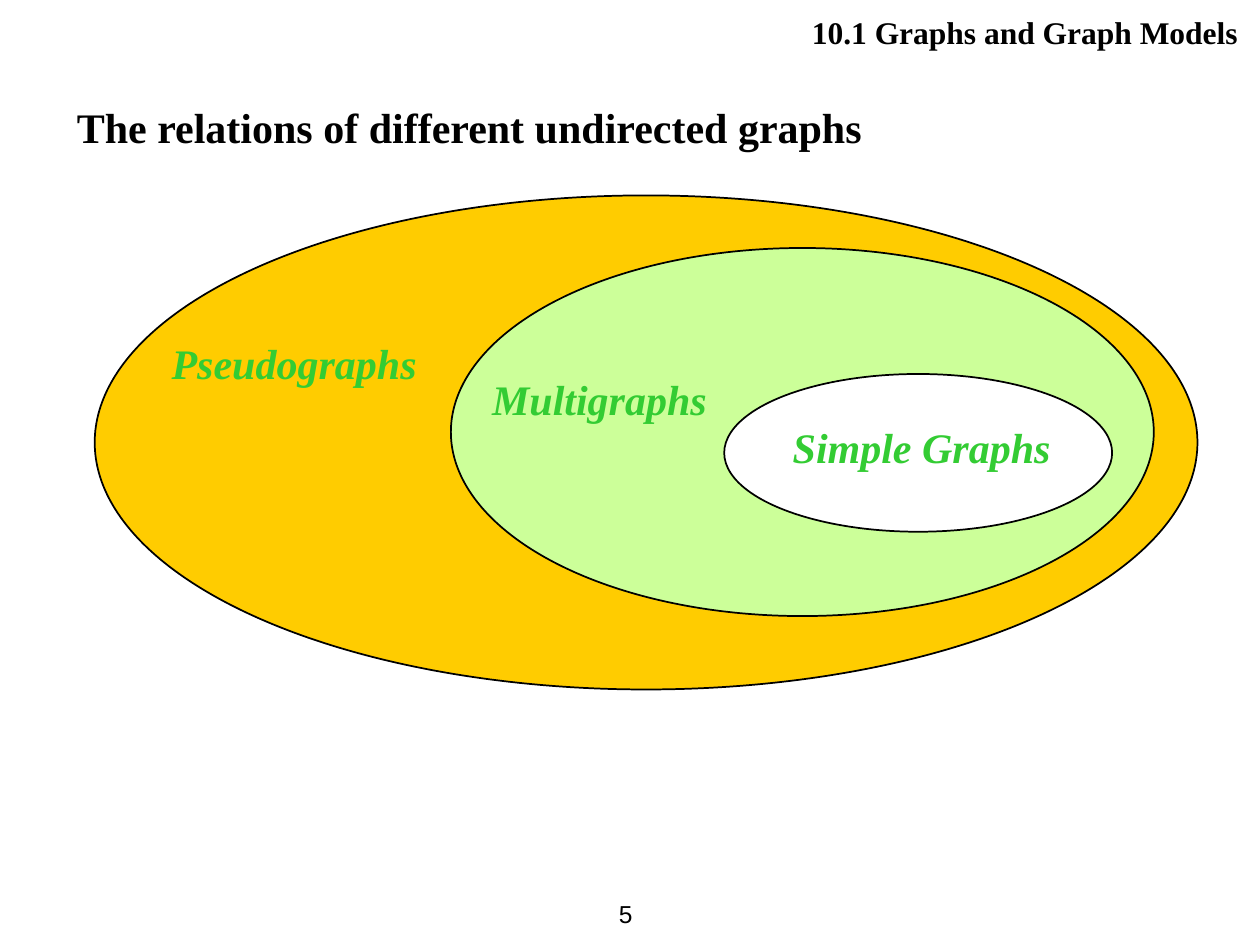
from pptx import Presentation
from pptx.dml.color import RGBColor
from pptx.enum.shapes import MSO_SHAPE
from pptx.enum.text import MSO_ANCHOR, PP_ALIGN
from pptx.util import Cm, Pt

OVAL = MSO_SHAPE.OVAL
TOP, MIDDLE = MSO_ANCHOR.TOP, MSO_ANCHOR.MIDDLE
LEFT, CENTER, RIGHT = PP_ALIGN.LEFT, PP_ALIGN.CENTER, PP_ALIGN.RIGHT
SERIF, SANS, CJK = "Times New Roman", "Arial", "Noto Sans CJK SC"
BLACK, GREEN = "000000", "33CC33"
LINE_HEIGHT = 1.27

GRAPH_SETS = [
    ("Pseudographs", "FFCC00", (1.91, 3.94, 22.23, 9.96), (1.3, 2.74, 5.44)),
    ("Multigraphs", "CCFF99", (9.09, 5, 14.17, 7.42), (0.58, 2.41, 4.83)),
    ("Simple Graphs", "FFFFFF", (14.6, 7.54, 7.82, 3.18), (1.12, 0.84, 5.72)),
]


def color(value):
    """Turn a hex string into a colour."""
    return RGBColor.from_string(value)


def add_span(para, text, size, font=SERIF, ink=BLACK, bold=True, italic=False):
    """Add one formatted run to a paragraph."""
    span = para.add_run()
    span.text = text
    span.font.size = Pt(size)
    span.font.name = font
    span.font.bold = bold
    span.font.italic = italic
    span.font.color.rgb = color(ink)


def add_line(page, left, top, width, align=LEFT, anchor=TOP, wrap=True):
    """Add a one-line text box and return its paragraph."""
    box = page.shapes.add_textbox(Cm(left), Cm(top), Cm(width), Cm(LINE_HEIGHT))
    box.text_frame.word_wrap = wrap
    box.text_frame.vertical_anchor = anchor
    para = box.text_frame.paragraphs[0]
    para.alignment = align
    return para


def add_header(page, left, top, width):
    """Place the section name in the top right corner."""
    para = add_line(page, left, top, width, RIGHT)
    add_span(para, "10.1 Graphs and Graph Models", 18)
    add_span(para, " ", 24, CJK)


def add_title(page, left, top, width):
    """Place the slide heading."""
    para = add_line(page, left, top, width)
    add_span(para, "The relations of different undirected graphs", 24)


def add_graph_set(page, name, fill, bounds, label):
    """Draw one set as an ellipse with its label placed inside it."""
    left, top, width, height = bounds
    label_left, label_top, label_width = label
    oval = page.shapes.add_shape(OVAL, Cm(left), Cm(top), Cm(width), Cm(height))
    oval.shadow.inherit = False
    oval.fill.solid()
    oval.fill.fore_color.rgb = color(fill)
    oval.line.color.rgb = color(BLACK)
    oval.line.width = Pt(1)
    para = add_line(page, left + label_left, top + label_top, label_width,
                    CENTER, MIDDLE, wrap=False)
    add_span(para, name, 24, ink=GREEN, italic=True)


def add_page_number(page, left, top, width):
    """Place the page number at the foot of the slide."""
    para = add_line(page, left, top, width, RIGHT, MIDDLE)
    add_span(para, "5", 14, SANS, bold=False)


def main():
    """Build the slide and save the deck."""
    deck = Presentation()
    deck.slide_width, deck.slide_height = Cm(25.4), Cm(19.05)
    page = deck.slides.add_slide(deck.slide_layouts[6])
    add_page_number(page, 11.3, 17.78, 1.7)
    add_title(page, 1.3, 1.93, 21.16)
    for graph_set in GRAPH_SETS:
        add_graph_set(page, *graph_set)
    add_header(page, 14.5, -0.08, 10.9)
    deck.save("out.pptx")


if __name__ == "__main__":
    main()
